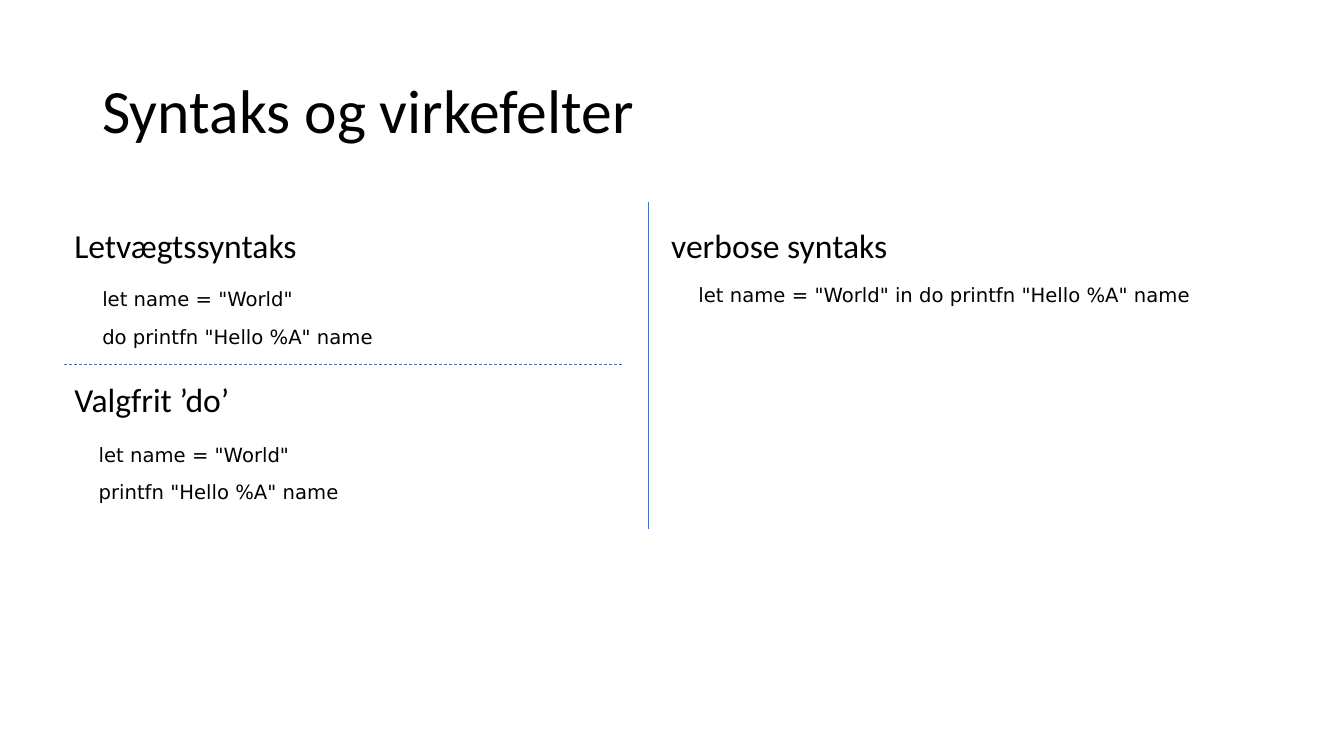
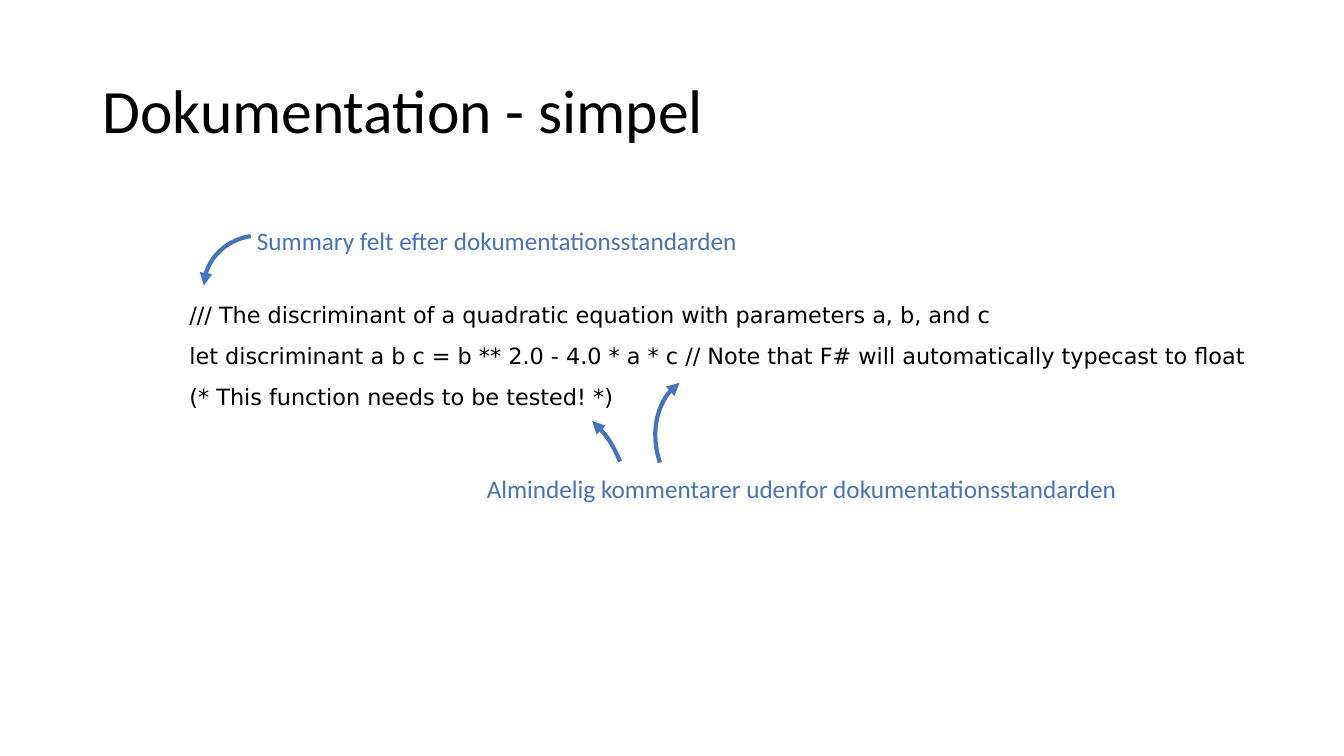
from lxml import etree
from pptx import Presentation
from pptx import util as u
from pptx.dml import color
from pptx.enum import dml, shapes, text
from pptx.oxml import ns

COLORS = {"ink": "000000", "accent": "4472C4"}
BODY_FONT, CODE_FONT = "Calibri", "DejaVu Sans"

SYNTAX = {
    "title": "Syntaks og virkefelter",
    "headings": [
        ("Letvægtssyntaks", (46, 157, 175, 36)),
        ("verbose syntaks", (472.3, 157, 171, 36)),
        ("Valgfrit ’do’", (46, 267.2, 126, 36)),
    ],
    "code": [
        (['let name = "World"', 'do printfn "Hello %A" name'], (66, 201.6, 379.5, 76.3)),
        (['let name = "World" in do printfn "Hello %A" name'], (491.8, 198.7, 401.8, 37.4)),
        (['let name = "World"', 'printfn "Hello %A" name'], (63.4, 312.5, 379.5, 76.3)),
    ],
    "dividers": [
        ((463, 144), (463, 378), None),
        ((46, 260), (445.7, 260), dml.MSO_LINE.DASH),
    ],
}

DOCUMENTATION = {
    "title": "Dokumentation - simpel",
    "code": [
        "/// The discriminant of a quadratic equation with parameters a, b, and c",
        "let discriminant a b c = b ** 2.0 - 4.0 * a * c // Note that F# will automatically typecast to float",
        "(* This function needs to be tested! *)",
    ],
    "code_area": (128.2, 211.7, 805.7, 85.7),
    "labels": [
        ("Summary felt efter dokumentationsstandarden", (176.4, 157.7, 361.4, 29)),
        ("Almindelig kommentarer udenfor dokumentationsstandarden", (340.6, 334.8, 469.4, 29)),
    ],
    "arrows": [
        ((148.3, 165.6, 69.8, 75.6), 254.1, (102.52, 152.99), "tailEnd"),
        ((460.1, 275, 110.2, 89.3), 62.2, (3.02, 45.61), "headEnd"),
        ((347, 299.5, 111.6, 82.1), 62.2, (154.35, 183.14), "tailEnd"),
    ],
}


def points(values):
    return [u.Pt(value) for value in values]


def rgb(name):
    return color.RGBColor.from_string(COLORS[name])


def write(frame, lines, size, font=BODY_FONT, ink="ink", before=0, spacing=1.0):
    for index, line in enumerate(lines):
        para = frame.add_paragraph() if index else frame.paragraphs[0]
        para.alignment = text.PP_ALIGN.LEFT
        para.space_before = u.Pt(before)
        para.line_spacing = spacing
        span = para.add_run()
        span.text = line
        span.font.size = u.Pt(size)
        span.font.name = font
        span.font.color.rgb = rgb(ink)


def add_text(page, lines, area, wrap=True, **style):
    frame = page.shapes.add_textbox(*points(area)).text_frame
    frame.word_wrap = wrap
    if not wrap:
        frame.auto_size = text.MSO_AUTO_SIZE.SHAPE_TO_FIT_TEXT
    write(frame, lines, **style)


def add_code(page, lines, area, size):
    add_text(page, lines, area, size=size, font=CODE_FONT, before=10)


def add_divider(page, start, end, dash):
    divider = page.shapes.add_connector(
        shapes.MSO_CONNECTOR.STRAIGHT, *points(start + end))
    divider.line.color.rgb = rgb("accent")
    divider.line.width = u.Pt(0.5)
    if dash:
        divider.line.dash_style = dash
    etree.SubElement(divider._element.spPr, ns.qn("a:effectLst"))


def add_curved_arrow(page, area, rotation, sweep, arrow_end):
    arc = page.shapes.add_shape(shapes.MSO_SHAPE.ARC, *points(area))
    arc.rotation = rotation
    arc.adjustments[0], arc.adjustments[1] = sweep
    arc._element.spPr.find(ns.qn("a:xfrm")).set("flipH", "1")
    arc.fill.background()
    arc.line.color.rgb = rgb("accent")
    arc.line.width = u.Pt(3)
    line = arc._element.spPr.find(ns.qn("a:ln"))
    etree.SubElement(line, ns.qn("a:" + arrow_end), type="triangle")
    arc.shadow.inherit = False


def add_page(deck, title):
    page = deck.slides.add_slide(deck.slide_layouts[5])
    box = page.shapes.title
    box.left, box.top, box.width, box.height = points((66, 28.8, 828, 104.4))
    box.text_frame.vertical_anchor = text.MSO_ANCHOR.MIDDLE
    write(box.text_frame, [title], size=44, spacing=0.9)
    return page


def build_syntax(deck):
    page = add_page(deck, SYNTAX["title"])
    for lines, area in SYNTAX["code"]:
        add_code(page, lines, area, size=14)
    for heading, area in SYNTAX["headings"]:
        add_text(page, [heading], area, wrap=False, size=24)
    for divider in SYNTAX["dividers"]:
        add_divider(page, *divider)


def build_documentation(deck):
    page = add_page(deck, DOCUMENTATION["title"])
    add_code(page, DOCUMENTATION["code"], DOCUMENTATION["code_area"], size=16)
    for label, area in DOCUMENTATION["labels"]:
        add_text(page, [label], area, wrap=False, size=18, ink="accent")
    for arrow in DOCUMENTATION["arrows"]:
        add_curved_arrow(page, *arrow)


def main():
    deck = Presentation()
    deck.slide_width, deck.slide_height = points((960, 540))
    build_syntax(deck)
    build_documentation(deck)
    deck.save("out.pptx")


if __name__ == "__main__":
    main()
